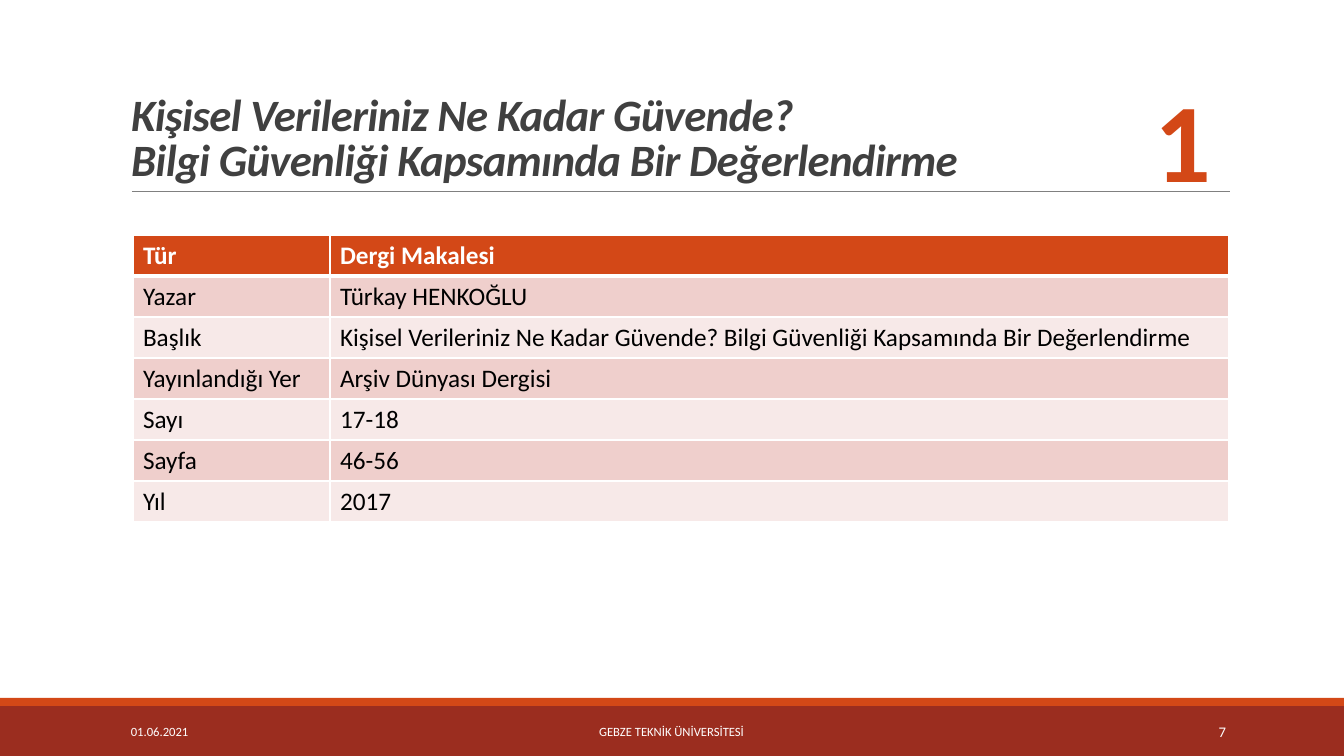
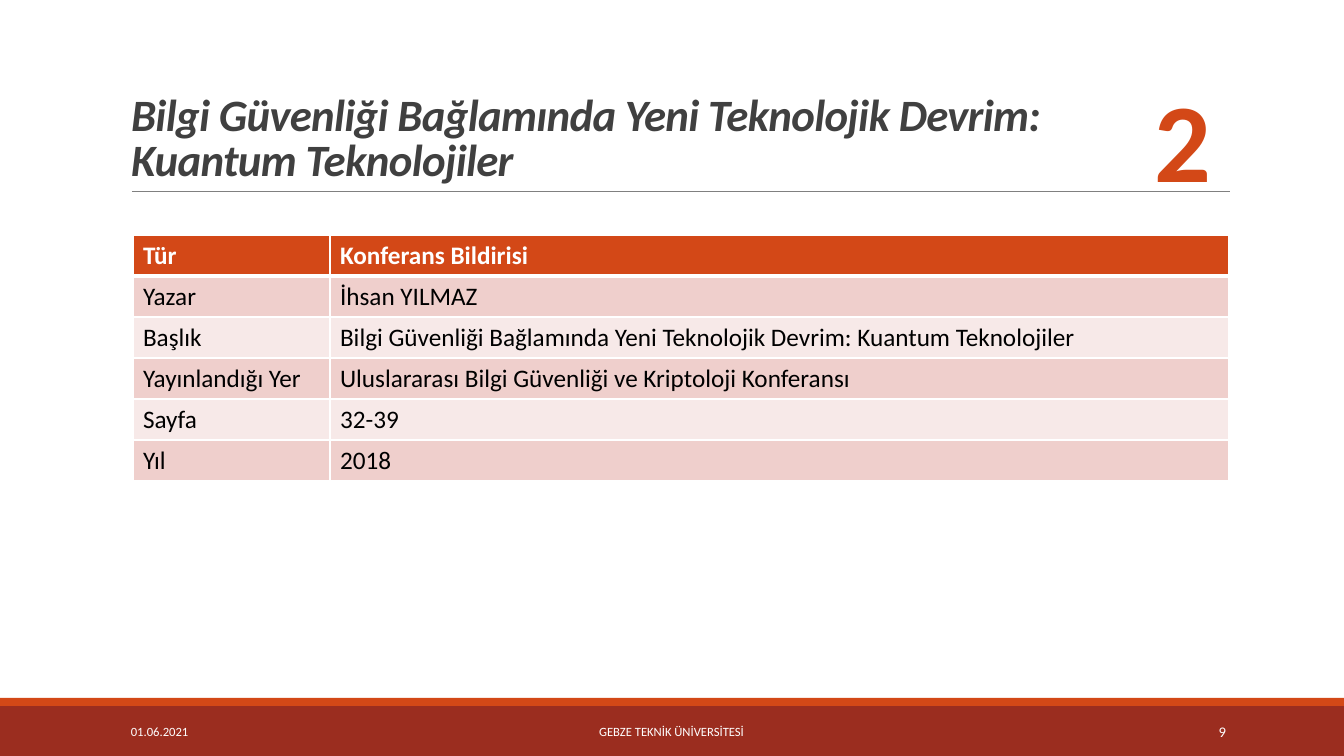
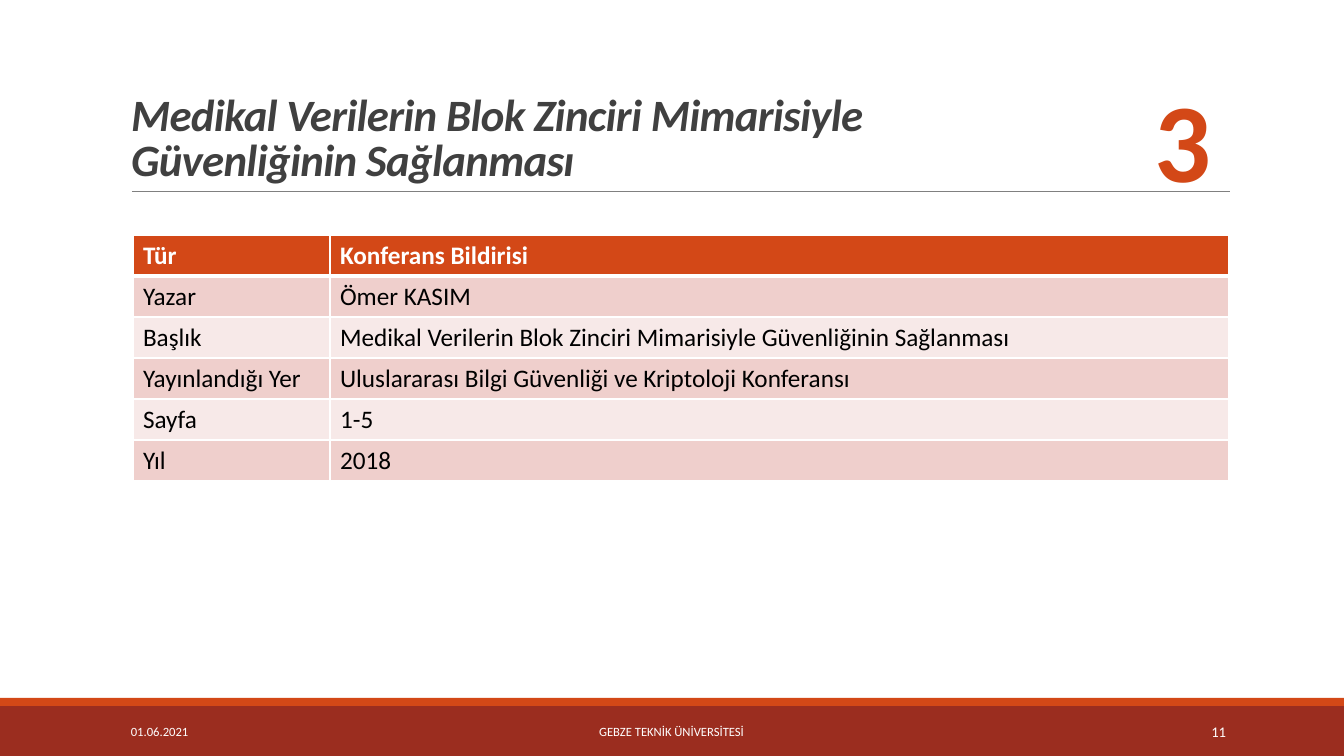
import pptx
import pptx.dml.color
import pptx.enum.shapes
import pptx.enum.text
import pptx.oxml.ns
import pptx.oxml.xmlchemy
import pptx.util

RGB = pptx.dml.color.RGBColor
ALIGN = pptx.enum.text.PP_ALIGN
ANCHOR = pptx.enum.text.MSO_ANCHOR
OxmlElement = pptx.oxml.xmlchemy.OxmlElement

ORANGE = RGB(0xD3, 0x48, 0x17)
BRICK = RGB(0x9B, 0x2D, 0x1F)
PINK = RGB(0xEF, 0xCF, 0xCC)
PALE = RGB(0xF7, 0xE9, 0xE8)
DARK = RGB(0x40, 0x40, 0x40)
GREY = RGB(0x80, 0x80, 0x80)
BLACK = RGB(0, 0, 0)
WHITE = RGB(0xFF, 0xFF, 0xFF)
FONT = "Calibri"


def px(n):
    return pptx.util.Emu(round(n * 914400 / 100.8))


def add_run(p, text, size, color, bold=False):
    r = p.add_run()
    r.text = text
    r.font.name = FONT
    r.font.size = pptx.util.Pt(size)
    r.font.color.rgb = color
    r.font.bold = bold
    return r


# Content: slide number, title lines, table rows
CONFERENCE = "Uluslararası Bilgi Güvenliği ve Kriptoloji Konferansı"
articles = [
    (7, ["Kişisel Verileriniz Ne Kadar Güvende?",
         "Bilgi Güvenliği Kapsamında Bir Değerlendirme"],
     {"Tür": "Dergi Makalesi", "Yazar": "Türkay HENKOĞLU",
      "Başlık": "Kişisel Verileriniz Ne Kadar Güvende? "
                "Bilgi Güvenliği Kapsamında Bir Değerlendirme",
      "Yayınlandığı Yer": "Arşiv Dünyası Dergisi",
      "Sayı": "17-18", "Sayfa": "46-56", "Yıl": "2017"}),
    (9, ["Bilgi Güvenliği Bağlamında Yeni Teknolojik Devrim:",
         "Kuantum Teknolojiler"],
     {"Tür": "Konferans Bildirisi", "Yazar": "İhsan YILMAZ",
      "Başlık": "Bilgi Güvenliği Bağlamında Yeni Teknolojik Devrim: "
                "Kuantum Teknolojiler",
      "Yayınlandığı Yer": CONFERENCE, "Sayfa": "32-39", "Yıl": "2018"}),
    (11, ["Medikal Verilerin Blok Zinciri Mimarisiyle",
          "Güvenliğinin Sağlanması"],
     {"Tür": "Konferans Bildirisi", "Yazar": "Ömer KASIM",
      "Başlık": "Medikal Verilerin Blok Zinciri Mimarisiyle "
                "Güvenliğinin Sağlanması",
      "Yayınlandığı Yer": CONFERENCE, "Sayfa": "1-5", "Yıl": "2018"}),
]

prs = pptx.Presentation()
prs.slide_width, prs.slide_height = px(1344), px(756)

for order, (page, title_lines, facts) in enumerate(articles, 1):
    s = prs.slides.add_slide(prs.slide_layouts[5])

    # Footer bands
    for top, height, color in [(706, 50, BRICK), (698, 8, ORANGE)]:
        sp = s.shapes.add_shape(pptx.enum.shapes.MSO_SHAPE.RECTANGLE,
                                0, px(top), px(1344), px(height))
        sp.shadow.inherit = False
        sp.fill.solid()
        sp.fill.fore_color.rgb = color
        sp.line.fill.background()

    # Rule under the title
    rule = s.shapes.add_connector(pptx.enum.shapes.MSO_CONNECTOR.STRAIGHT,
                                  px(132), px(191), px(1230), px(191))
    rule.line.color.rgb = GREY
    rule.line.width = pptx.util.Pt(0.5)
    rule._element.spPr.append(OxmlElement("a:effectLst"))

    # Title
    title = s.shapes.title
    title.left, title.top, title.width, title.height = map(px, (121, 31, 1109, 160))
    tf = title.text_frame
    tf.auto_size = pptx.enum.text.MSO_AUTO_SIZE.NONE
    tf.vertical_anchor = ANCHOR.BOTTOM
    p = tf.paragraphs[0]
    p.alignment = ALIGN.LEFT
    p.line_spacing = 0.85
    for i, line in enumerate(title_lines):
        if i:
            p.add_line_break()
        r = add_run(p, line, 32, DARK, True)
        r.font.italic = True
        r._r.get_or_add_rPr().set("spc", "-50")

    # Table of facts
    table = s.shapes.add_table(len(facts), 2, px(133), px(235),
                               px(1096), px(41 * len(facts))).table
    table.columns[0].width, table.columns[1].width = px(197), px(899)
    for i, fact in enumerate(facts.items()):
        table.rows[i].height = px(41)
        for j, text in enumerate(fact):
            cell = table.cell(i, j)
            add_run(cell.text_frame.paragraphs[0], text, 18,
                    BLACK if i else WHITE, i == 0)
            cell.fill.solid()
            cell.fill.fore_color.rgb = (PINK if i % 2 else PALE) if i else ORANGE
            tcPr = cell._tc.get_or_add_tcPr()
            for k, side in enumerate(["lnL", "lnR", "lnT", "lnB"]):
                thick = (i, side) in [(0, "lnB"), (1, "lnT")]
                ln = OxmlElement("a:" + side)
                ln.set("w", str(int(pptx.util.Pt(3 if thick else 1))))
                fill = OxmlElement("a:solidFill")
                clr = OxmlElement("a:srgbClr")
                clr.set("val", str(WHITE))
                fill.append(clr)
                ln.append(fill)
                tcPr.insert(k, ln)

    # Date, page number, institution and article number
    for box, text, size, color, align, big in [
        ((121, 712, 272, 40), "01.06.2021", 9, WHITE, ALIGN.LEFT, False),
        ((1092, 712, 144, 40), str(page), 10.5, WHITE, ALIGN.RIGHT, False),
        ((406, 712, 531, 40), "GEBZE TEKNİK ÜNİVERSİTESİ", 9, WHITE,
         ALIGN.CENTER, False),
        ((1145, 66, 78, 146), str(order), 80, ORANGE, ALIGN.LEFT, True),
    ]:
        tf = s.shapes.add_textbox(*map(px, box)).text_frame
        tf.word_wrap = not big
        tf.vertical_anchor = ANCHOR.TOP if big else ANCHOR.MIDDLE
        p = tf.paragraphs[0]
        p.alignment = align
        add_run(p, text, size, color, big)

prs.save("out.pptx")
